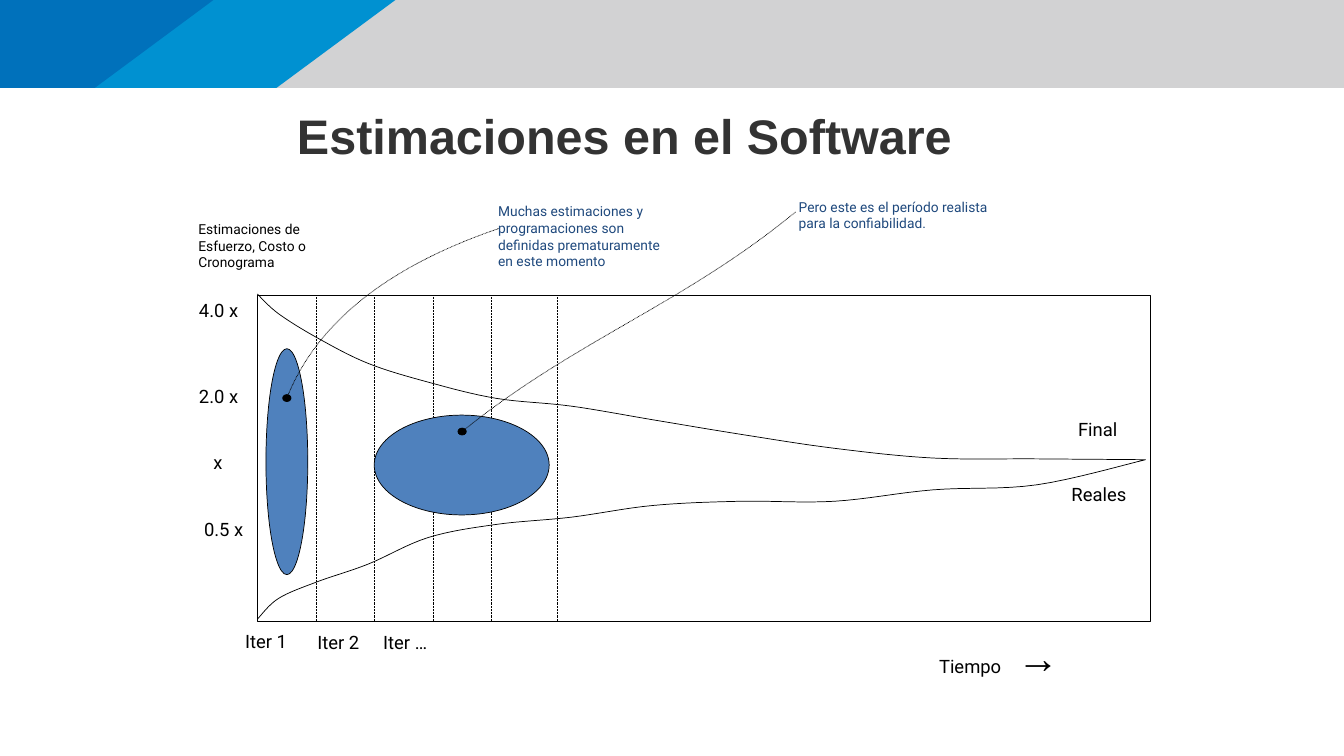
"""Builds the slide on how software estimates converge over time."""
from dataclasses import dataclass

from lxml.etree import SubElement
from pptx import Presentation
from pptx.dml.color import RGBColor
from pptx.enum.dml import MSO_LINE
from pptx.enum.shapes import MSO_CONNECTOR, MSO_SHAPE as Preset
from pptx.enum.text import PP_ALIGN as Align
from pptx.oxml.ns import qn
from pptx.util import Cm, Pt


@dataclass(frozen=True)
class Theme:
    band: str = "D2D2D3"
    light_blue: str = "0091D1"
    dark_blue: str = "0071BB"
    title: str = "333333"
    ink: str = "000000"
    note: str = "1F497D"
    zone: str = "4F81BD"
    title_font: str = "Arial"
    body_font: str = "Roboto"
    title_size: float = 49.3
    label_size: float = 18.7
    note_size: float = 14
    arrow_size: float = 42.7
    stroke: float = 0.75


THEME = Theme()
WIDTH, HEIGHT, BAND_HEIGHT = 48.16, 27.1, 3.15
FRAME_LEFT, FRAME_TOP, FRAME_WIDTH, FRAME_HEIGHT = FRAME = (9.22, 10.59, 32, 11.68)
ITERATION_STEP = 2.1
LAST_ITERATION = 19.99
LABEL_HEIGHT = 1.24

TRUE_VALUE_Y = 16.48
CONE_LENGTH = 31.83
EARLY_CROWDING = 1.5
OVERESTIMATE = [5.94, 5.23, 4.36, 3.45, 2.78, 2.2, 1.92, 1.43, 0.91, 0.41, 0.06, 0.03, 0]
UNDERESTIMATE = [5.72, 4.97, 4.37, 3.74, 2.79, 2.32, 2.06, 1.64, 1.49, 1.49, 1.08, 0.9, 0]

BANNERS = [
    (THEME.band, WIDTH, WIDTH),
    (THEME.light_blue, 14.17, 9.91),
    (THEME.dark_blue, 7.65, 3.4),
]
EARLY_ZONE = (9.53, 12.5, 1.5, 8.1)
REALISTIC_ZONE = (13.41, 14.88, 6.27, 3.58)
DOT_WIDTH, DOT_HEIGHT = 0.3, 0.25
EARLY_DOT = (10.28, 14.27)
REALISTIC_DOT = (16.56, 15.47)
LEADERS = [
    (EARLY_DOT, (11.36, 11.54), (13.94, 9.53), (17.91, 8.18)),
    (REALISTIC_DOT, (20.6, 12.2), (24.5, 10.9), (28.52, 7.59)),
]
LABELS = [
    ("Iter 1", 8.33, 22.48, 2.41),
    ("Iter 2", 10.92, 22.5, 2.41),
    ("Iter …", 13.21, 22.5, 2.62),
    ("4.0 x", 6.73, 10.59, 2.21),
    ("2.0 x", 6.73, 13.69, 2.21),
    ("x", 7.34, 16.05, 0.94),
    ("0.5 x", 6.91, 18.44, 2.21),
    ("Final", 38.28, 14.88, 2.11),
    ("Reales", 38.02, 17.2, 2.72),
]
NOTES = [
    (("Estimaciones de", "Esfuerzo, Costo o", "Cronograma"),
     (6.86, 7.8, 4.88, 2.44), THEME.ink),
    (("Muchas estimaciones y", "programaciones son",
      "definidas prematuramente", "en este momento"),
     (17.6, 7.16, 7.21, 3.15), THEME.note),
    (("Pero este es el período realista", "para la confiabilidad."),
     (28.37, 6.99, 8.33, 1.73), THEME.note),
]


def smooth(points, steps=8):
    """Return a Catmull-Rom curve that passes through every point."""
    ends = [points[0], *points, points[-1]]
    curve = [points[0]]
    for before, start, stop, after in zip(ends, ends[1:], ends[2:], ends[3:]):
        for step in range(1, steps + 1):
            t = step / steps
            curve.append(tuple(
                b + ((c - a) * t + (2 * a - 5 * b + 4 * c - d) * t ** 2
                     + (3 * b - a - 3 * c + d) * t ** 3) / 2
                for a, b, c, d in zip(before, start, stop, after)))
    return curve


def bezier(start, bend_out, bend_in, stop, steps=40):
    """Return points along a cubic Bezier curve."""
    return [
        tuple(a * (1 - t) ** 3 + 3 * b * t * (1 - t) ** 2
              + 3 * c * t ** 2 * (1 - t) + d * t ** 3
              for a, b, c, d in zip(start, bend_out, bend_in, stop))
        for t in (step / steps for step in range(steps + 1))]


def cone_limit(errors, side):
    """Place the errors above (-1) or below (1) the true value, closer together early on."""
    last = len(errors) - 1
    return smooth([
        (FRAME_LEFT + CONE_LENGTH * (index / last) ** EARLY_CROWDING,
         TRUE_VALUE_Y + side * error)
        for index, error in enumerate(errors)])


def paint(shape, fill=None, outlined=True, dotted=False):
    """Set the fill and outline of a shape and remove its shadow."""
    shape.shadow.inherit = False
    if fill:
        shape.fill.solid()
        shape.fill.fore_color.rgb = RGBColor.from_string(fill)
    else:
        shape.fill.background()
    if outlined:
        draw_line(shape.line, dotted)
    else:
        shape.line.fill.background()


def draw_line(line, dotted):
    """Give a line the ink colour, the thin stroke and, if asked, dots."""
    line.color.rgb = RGBColor.from_string(THEME.ink)
    line.width = Pt(THEME.stroke)
    if dotted:
        line.dash_style = MSO_LINE.ROUND_DOT


def add_outline(page, points, close=False, **style):
    """Draw a freeform through the points."""
    corners = [(Cm(x), Cm(y)) for x, y in points]
    builder = page.shapes.build_freeform(*corners[0], scale=1.0)
    builder.add_line_segments(corners[1:], close=close)
    paint(builder.convert_to_shape(), **style)


def add_banner(page, color, top_right, bottom_right):
    """Draw one layer of the top band, with a slanted right end."""
    corners = [(0, 0), (top_right, 0), (bottom_right, BAND_HEIGHT), (0, BAND_HEIGHT)]
    add_outline(page, corners, close=True, fill=color, outlined=False)


def add_preset(page, preset, place, fill=None):
    """Draw an outlined preset shape."""
    paint(page.shapes.add_shape(preset, *map(Cm, place)), fill)


def add_dot(page, x, y):
    """Draw a small dot around its centre."""
    place = (x - DOT_WIDTH / 2, y - DOT_HEIGHT / 2, DOT_WIDTH, DOT_HEIGHT)
    add_preset(page, Preset.OVAL, place, THEME.ink)


def add_divider(page, x):
    """Draw a dotted vertical line across the frame."""
    divider = page.shapes.add_connector(
        MSO_CONNECTOR.STRAIGHT, Cm(x), Cm(FRAME_TOP), Cm(x), Cm(FRAME_TOP + FRAME_HEIGHT))
    draw_line(divider.line, True)
    SubElement(divider._element.spPr, qn("a:effectLst"))


def add_span(para, text, size, color, font=THEME.body_font, bold=False):
    """Add one formatted run."""
    span = para.add_run()
    span.text = text
    span.font.size = Pt(size)
    span.font.name = font
    span.font.bold = bold
    span.font.color.rgb = RGBColor.from_string(color)


def add_box(page, place, align=Align.LEFT, wrap=False):
    """Add an empty text box and return its frame."""
    frame = page.shapes.add_textbox(*map(Cm, place)).text_frame
    frame.word_wrap = wrap
    frame.paragraphs[0].alignment = align
    return frame


def add_title(page):
    """Write the slide title."""
    frame = add_box(page, (6.3, 3.81, 32.18, 6.32), Align.CENTER, wrap=True)
    frame.margin_left = frame.margin_right = frame.margin_top = frame.margin_bottom = 0
    add_span(frame.paragraphs[0], "Estimaciones en el Software",
             THEME.title_size, THEME.title, THEME.title_font, bold=True)


def add_label(page, text, left, top, width):
    """Write a centred one-line label."""
    frame = add_box(page, (left, top, width, LABEL_HEIGHT), Align.CENTER)
    add_span(frame.paragraphs[0], text, THEME.label_size, THEME.ink)


def add_note(page, lines, place, color):
    """Write a small note with fixed line breaks."""
    para = add_box(page, place).paragraphs[0]
    for index, line in enumerate(lines):
        if index:
            para.add_line_break()
        add_span(para, line, THEME.note_size, color)


def add_time_axis(page):
    """Write the time label with its arrow at a tab stop."""
    frame = add_box(page, (33.05, 22.5, 6.02, 2.49), wrap=True)
    frame.margin_left = Cm(0.6)
    para = frame.paragraphs[0]
    tabs = SubElement(para._p.get_or_add_pPr(), qn("a:tabLst"))
    SubElement(tabs, qn("a:tab"), pos=str(Cm(2.8)), algn="l")
    add_span(para, "Tiempo\t", THEME.label_size, THEME.ink)
    add_span(para, "→", THEME.arrow_size, THEME.ink, THEME.title_font)


def add_cone(page):
    """Draw the frame, iterations, narrowing limits and marked periods."""
    add_preset(page, Preset.RECTANGLE, FRAME)
    for x in [FRAME_LEFT + ITERATION_STEP * n for n in range(1, 5)] + [LAST_ITERATION]:
        add_divider(page, x)
    upper, lower = cone_limit(OVERESTIMATE, -1), cone_limit(UNDERESTIMATE, 1)
    add_outline(page, upper + lower[::-1])
    for zone in (EARLY_ZONE, REALISTIC_ZONE):
        add_preset(page, Preset.OVAL, zone, THEME.zone)
    for leader in LEADERS:
        add_dot(page, *leader[0])
        add_outline(page, bezier(*leader), dotted=True)


def main():
    """Build and save the deck."""
    deck = Presentation()
    deck.slide_width, deck.slide_height = Cm(WIDTH), Cm(HEIGHT)
    page = deck.slides.add_slide(deck.slide_layouts[6])
    for banner in BANNERS:
        add_banner(page, *banner)
    add_title(page)
    add_cone(page)
    for label in LABELS:
        add_label(page, *label)
    add_time_axis(page)
    for note in NOTES:
        add_note(page, *note)
    deck.save("out.pptx")


if __name__ == "__main__":
    main()
